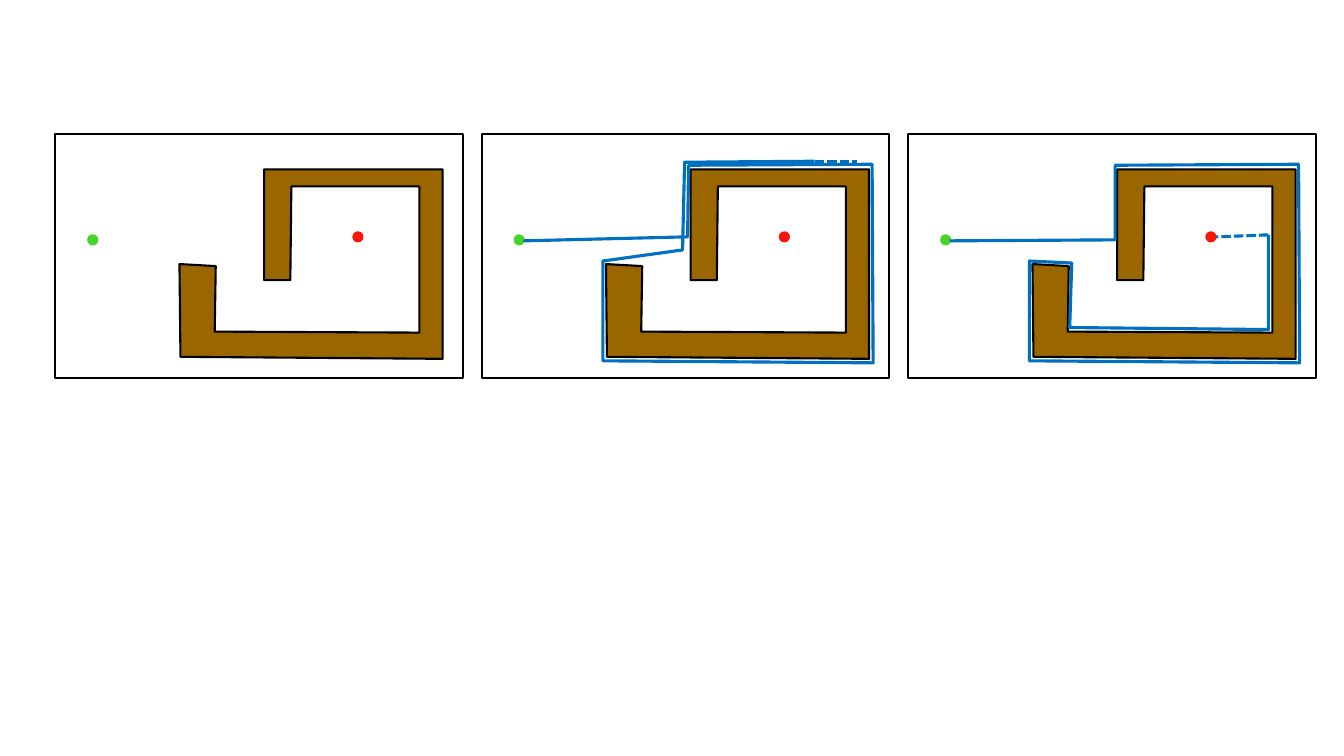
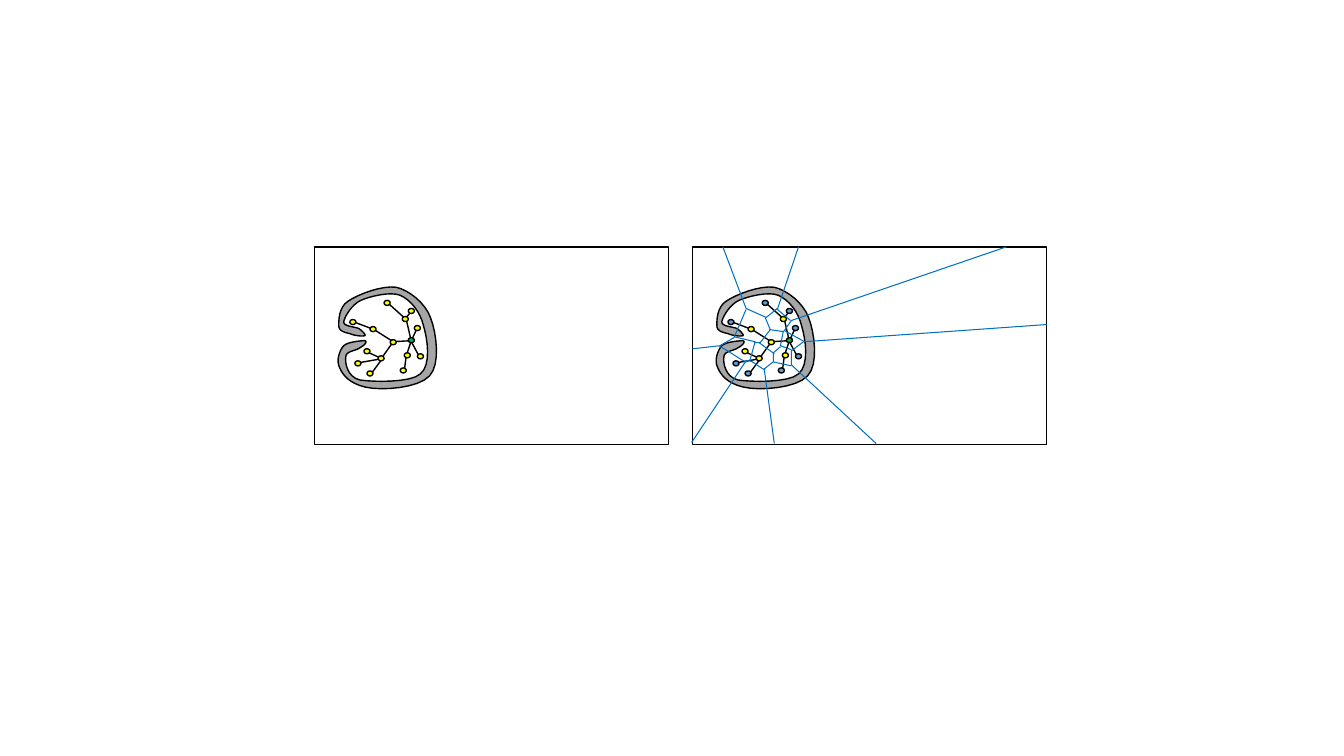
import lxml.etree
import pptx
import pptx.dml.color
import pptx.enum.dml
import pptx.enum.shapes
import pptx.oxml.ns
import pptx.shapes.connector
import pptx.util

SHAPE = pptx.enum.shapes.MSO_SHAPE
DASH = pptx.enum.dml.MSO_LINE.SQUARE_DOT
THEME = {
    "start": {"fill": "45D628", "line": "45D628", "width": 0.75},
    "goal": {"fill": "F81706", "line": "F81706", "width": 0.75},
    "obstacle": {"fill": "996600", "line": "000000", "width": 1.5},
    "arena": {"line": "000000", "width": 1.5},
    "route": {"line": "0070C0", "width": 2.25},
    "planned": {"line": "0070C0", "width": 2.25, "dash": DASH},
    "map": {"line": "000000", "width": 1},
    "wall": {"fill": "A6A6A6", "line": "000000", "width": 1},
    "root": {"fill": "00B050", "line": "000000", "width": 1},
    "inner": {"fill": "FFFF00", "line": "000000", "width": 1},
    "leaf": {"fill": "5B9BD5", "line": "000000", "width": 1},
    "cell": {"line": "0070C0", "width": 0.75},
}
CURVE_STEPS = 8


def dress(shape, look):
    """Give a shape or connector the fill and line of a named theme look."""
    style = THEME[look]
    shape.line.color.rgb = pptx.dml.color.RGBColor.from_string(style["line"])
    line_format = {"width": pptx.util.Pt(style["width"]), "dash_style": style.get("dash")}
    for name, value in line_format.items():
        setattr(shape.line, name, value)
    if isinstance(shape, pptx.shapes.connector.Connector):
        lxml.etree.SubElement(shape._element.spPr, pptx.oxml.ns.qn("a:effectLst"))
        return
    shape.shadow.inherit = False
    if "fill" in style:
        shape.fill.solid()
        shape.fill.fore_color.rgb = pptx.dml.color.RGBColor.from_string(style["fill"])
    else:
        shape.fill.background()


def trace(shapes, steps, look, shift=0, close=False):
    """Draw an outline; a step of two numbers is a line, one of six a Bezier curve."""
    points = [steps[0]]
    for step in steps[1:]:
        if len(step) == 2:
            points.append(step)
            continue
        corners = [points[-1], step[:2], step[2:4], step[4:]]
        for count in range(1, CURVE_STEPS + 1):
            t = count / CURVE_STEPS
            weights = [(1 - t) ** 3, 3 * t * (1 - t) ** 2, 3 * t * t * (1 - t), t ** 3]
            points.append(tuple(sum(weight * corner[axis] for weight, corner in zip(weights, corners))
                                for axis in (0, 1)))
    points = [(pptx.util.Inches(x + shift), pptx.util.Inches(y)) for x, y in points]
    if len(points) == 2:
        shape = shapes.add_connector(pptx.enum.shapes.MSO_CONNECTOR.STRAIGHT, *points[0], *points[1])
    else:
        builder = shapes.build_freeform(*points[0], scale=1.0)
        builder.add_line_segments(points[1:], close=close)
        shape = builder.convert_to_shape()
    dress(shape, look)


presentation = pptx.Presentation()
presentation.slide_width = pptx.util.Inches(13.33)
presentation.slide_height = pptx.util.Inches(7.5)
blank_layout = presentation.slide_layouts[6]

# Slide 1: three arenas with the same obstacle; routes are in slide coordinates
shapes = presentation.slides.add_slide(blank_layout).shapes
ARENA_PITCH = 4.23
obstacle = [(2.62, 2.78), (2.62, 1.68), (4.39, 1.68), (4.39, 3.56), (1.79, 3.54), (1.78, 2.62),
            (2.14, 2.64), (2.13, 3.29), (4.16, 3.3), (4.16, 1.85), (2.89, 1.85), (2.88, 2.78)]
arena_parts = [
    (SHAPE.OVAL, (0.87, 2.33, 0.1, 0.1), "start"),
    (SHAPE.OVAL, (3.5, 2.3, 0.1, 0.1), "goal"),
    (SHAPE.RECTANGLE, (0.55, 1.33, 4.04, 2.42), "arena"),
]
arena_routes = [
    [],
    [("route", [(5.19, 2.39), (6.82, 2.35), (6.83, 1.64), (8.65, 1.63), (8.66, 3.6), (5.98, 3.58),
                (5.98, 2.59), (6.77, 2.48), (6.79, 1.61), (8.08, 1.6)]),
     ("planned", [(8.08, 1.6), (8.5, 1.6)])],
    [("route", [(9.42, 2.39), (11.06, 2.38), (11.06, 1.64), (12.88, 1.63), (12.89, 3.6), (10.21, 3.58),
                (10.21, 2.59), (10.63, 2.61), (10.61, 3.25), (12.58, 3.27), (12.58, 2.33)]),
     ("planned", [(12.58, 2.33), (12.06, 2.35)])],
]
for column, routes in enumerate(arena_routes):
    shift = column * ARENA_PITCH
    trace(shapes, obstacle, "obstacle", shift, close=True)
    for kind, (left, top, width, height), look in arena_parts:
        box = map(pptx.util.Inches, (left + shift, top, width, height))
        dress(shapes.add_shape(kind, *box), look)
    for look, route in routes:
        trace(shapes, route, look)

# Slide 2: a search tree inside a wall, then the same tree with its cells
shapes = presentation.slides.add_slide(blank_layout).shapes
MAP_PITCH = 3.75
branches = [
    [(4.08, 3.39), (4.03, 3.17), (3.84, 3)],
    [(4.08, 3.38), (3.9, 3.39), (3.71, 3.27), (3.5, 3.19)],
    [(3.9, 3.39), (3.78, 3.56), (3.55, 3.6)],
    [(3.64, 3.49), (3.79, 3.56), (3.68, 3.71)],
    [(4.08, 3.38), (4.03, 3.53), (4.01, 3.68)],
    [(4.08, 3.39), (4.16, 3.54)],
    [(4.08, 3.38), (4.14, 3.25)],
    [(4.02, 3.16), (4.08, 3.09)],
]
wall = [
    (3.62, 3.33), (3.6, 3.34, 3.51, 3.33, 3.47, 3.31), (3.43, 3.3, 3.36, 3.29, 3.36, 3.23),
    (3.36, 3.18, 3.36, 3.05, 3.45, 2.99), (3.55, 2.92, 3.79, 2.83, 3.93, 2.85),
    (4.06, 2.88, 4.22, 3.01, 4.27, 3.15), (4.33, 3.3, 4.37, 3.62, 4.26, 3.73),
    (4.15, 3.85, 3.79, 3.88, 3.62, 3.84), (3.46, 3.8, 3.4, 3.72, 3.37, 3.65),
    (3.33, 3.58, 3.37, 3.47, 3.41, 3.43), (3.45, 3.39, 3.59, 3.38, 3.62, 3.38),
    (3.65, 3.39, 3.61, 3.43, 3.57, 3.45), (3.54, 3.48, 3.43, 3.48, 3.43, 3.54),
    (3.42, 3.59, 3.44, 3.74, 3.57, 3.77), (3.69, 3.79, 4.07, 3.8, 4.17, 3.71),
    (4.28, 3.62, 4.24, 3.36, 4.2, 3.23), (4.17, 3.1, 4.08, 2.98, 3.97, 2.93),
    (3.87, 2.89, 3.67, 2.94, 3.58, 2.98), (3.49, 3.02, 3.42, 3.14, 3.41, 3.19),
    (3.4, 3.24, 3.52, 3.24, 3.56, 3.26), (3.59, 3.28, 3.63, 3.32, 3.62, 3.33),
]
nodes = {
    "root": [(4.05, 3.35)],
    "inner": [(3.99, 3.14), (3.87, 3.37), (3.75, 3.53), (3.67, 3.24), (4.01, 3.5), (3.61, 3.46)],
    "leaf": [(3.81, 2.98), (4.11, 3.23), (4.05, 3.06), (4.14, 3.51), (3.47, 3.17), (3.52, 3.58),
             (3.64, 3.68), (3.97, 3.65)],
}
cells = [
    [(9.98, 2.45), (7.85, 3.18), (7.78, 3.28), (7.98, 3.39), (10.38, 3.22)],
    [(7.97, 3.39), (7.85, 3.48), (7.85, 3.62), (8.69, 4.4)],
    [(7.84, 3.18), (7.71, 3.07), (7.92, 2.45)],
    [(7.71, 3.06), (7.6, 3.15), (7.4, 3.06), (7.17, 2.45)],
    [(7.77, 3.28), (7.74, 3.43), (7.85, 3.47)],
    [(7.74, 3.44), (7.67, 3.5), (7.67, 3.59), (7.85, 3.63)],
    [(7.67, 3.59), (7.58, 3.66), (7.68, 4.4)],
    [(7.59, 3.67), (7.54, 3.65, 7.49, 3.6, 7.44, 3.58), (7.4, 3.58), (6.86, 4.39)],
    [(7.4, 3.07), (7.28, 3.35), (7.14, 3.43), (6.87, 3.46)],
    [(7.13, 3.44), (7.14, 3.42, 7.39, 3.6, 7.4, 3.59), (7.41, 3.57, 7.43, 3.59, 7.44, 3.57),
     (7.49, 3.39), (7.28, 3.34)],
    [(7.48, 3.4), (7.54, 3.4), (7.64, 3.27), (7.59, 3.15)],
    [(7.63, 3.27), (7.77, 3.29)],
    [(7.53, 3.4), (7.68, 3.51)],
]
for column, leaf_look in enumerate(["inner", "leaf"]):
    shift = column * MAP_PITCH
    tree = shapes.add_group_shape().shapes
    for branch in branches:
        trace(tree, branch, "map", shift)
    frame_box = map(pptx.util.Inches, (3.12 + shift, 2.45, 3.51, 1.96))
    dress(shapes.add_shape(SHAPE.RECTANGLE, *frame_box), "map")
    trace(shapes, wall, "wall", shift, close=True)
    for role, places in nodes.items():
        for left, top in places:
            node_box = map(pptx.util.Inches, (left + shift, top, 0.06, 0.05))
            dress(shapes.add_shape(SHAPE.OVAL, *node_box), leaf_look if role == "leaf" else role)

diagram = shapes.add_group_shape().shapes
for cell in cells:
    trace(diagram, cell, "cell")

presentation.save("out.pptx")
